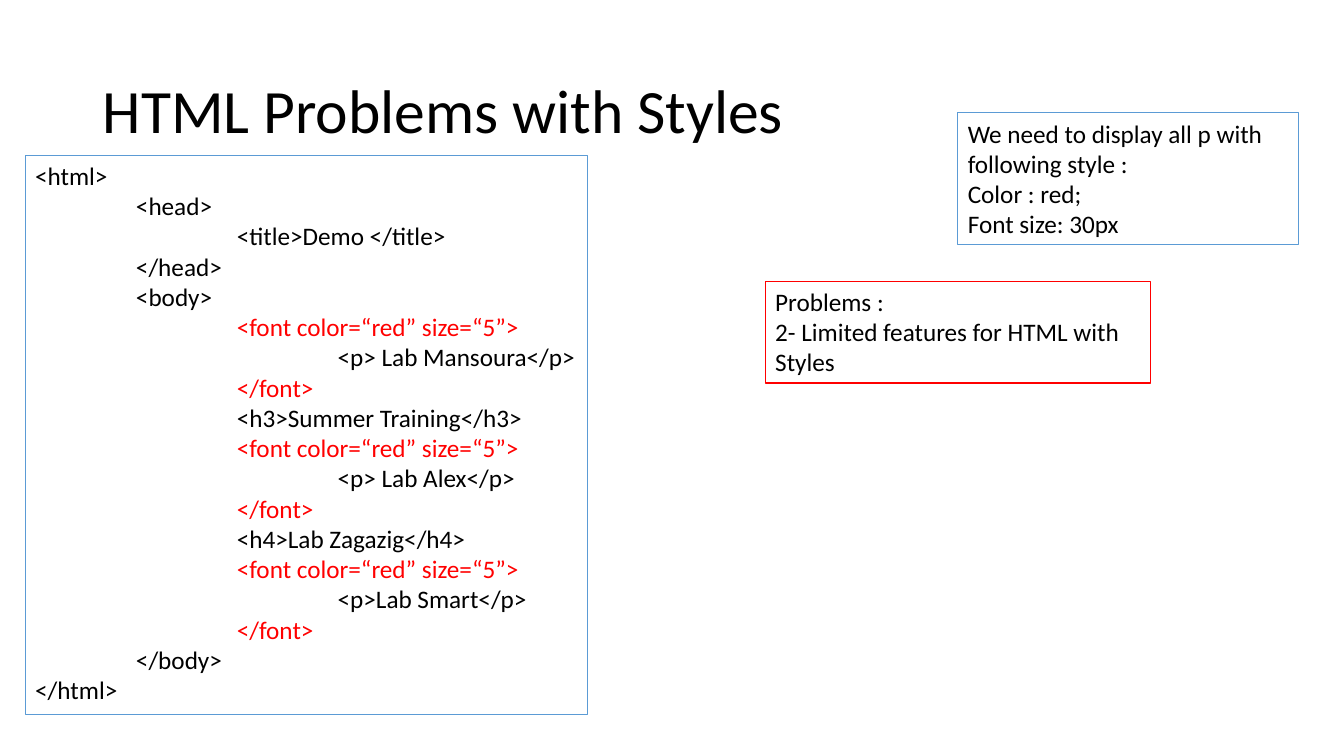
from pptx import Presentation
from pptx.dml.color import RGBColor
from pptx.enum.shapes import MSO_SHAPE
from pptx.enum.text import MSO_ANCHOR, PP_ALIGN
from pptx.util import Inches, Pt

BLACK, RED, BLUE = "000000", "FF0000", "5B9BD5"
FONT_OPEN = (2, "<font color=“red” size=“5”>", RED)
FONT_CLOSE = (2, "</font>", RED)


def color(value):
    return RGBColor.from_string(value)


class SlideBuilder:
    """Holds the text style and current slide, and adds its elements."""

    def __init__(self, prs, font="Calibri", size=18):
        self.s = prs.slides.add_slide(prs.slide_layouts[6])
        self.font = font
        self.size = size

    def run(self, p, text, size, ink=BLACK):
        r = p.add_run()
        r.text = text
        r.font.name = self.font
        r.font.size = Pt(size)
        r.font.color.rgb = color(ink)

    def title(self, text, left, top, width, height):
        sp = self.s.shapes.add_textbox(*map(Inches, (left, top, width, height)))
        tf = sp.text_frame
        tf.word_wrap = True
        tf.vertical_anchor = MSO_ANCHOR.MIDDLE
        p = tf.paragraphs[0]
        p.line_spacing = 0.9
        self.run(p, text, 44)

    def box(self, lines, left, top, width, height, outline):
        sp = self.s.shapes.add_shape(
            MSO_SHAPE.RECTANGLE, *map(Inches, (left, top, width, height)))
        sp.shadow.inherit = False
        sp.fill.background()
        sp.line.color.rgb = color(outline)
        sp.line.width = Pt(0.75)
        tf = sp.text_frame
        tf.word_wrap = True
        tf.vertical_anchor = MSO_ANCHOR.TOP
        for i, (depth, text, ink) in enumerate(lines):
            p = tf.add_paragraph() if i else tf.paragraphs[0]
            p.alignment = PP_ALIGN.LEFT
            if depth:
                p._p.get_or_add_pPr().set("marL", str(Inches(depth)))
            self.run(p, text, self.size, ink)

    def note(self, texts, *place):
        self.box([(0, text, BLACK) for text in texts], *place)


def red_paragraph(text):
    return [FONT_OPEN, (3, text, BLACK), FONT_CLOSE]


def main():
    prs = Presentation()
    prs.slide_width = Inches(13.33)
    prs.slide_height = Inches(7.5)
    slide = SlideBuilder(prs)
    slide.title("HTML Problems with Styles", 0.92, 0.4, 11.5, 1.45)
    code = [
        (0, "<html>", BLACK),
        (1, "<head>", BLACK),
        (2, "<title>Demo </title>", BLACK),
        (1, "</head>", BLACK),
        (1, "<body>", BLACK),
        *red_paragraph("<p> Lab Mansoura</p>"),
        (2, "<h3>Summer Training</h3>", BLACK),
        *red_paragraph("<p> Lab Alex</p>"),
        (2, "<h4>Lab Zagazig</h4>", BLACK),
        *red_paragraph("<p>Lab Smart</p>"),
        (1, "</body>", BLACK),
        (0, "</html>", BLACK),
    ]
    slide.box(code, 0.25, 1.54, 5.58, 5.55, BLUE)
    slide.note(["We need to display all p with following style :",
                "Color : red;", "Font size: 30px"],
               9.5, 1.12, 3.38, 1.31, BLUE)
    slide.note(["Problems :", "2- Limited features for HTML with Styles"],
               7.59, 2.79, 3.82, 1.01, RED)
    prs.save("out.pptx")


if __name__ == "__main__":
    main()
